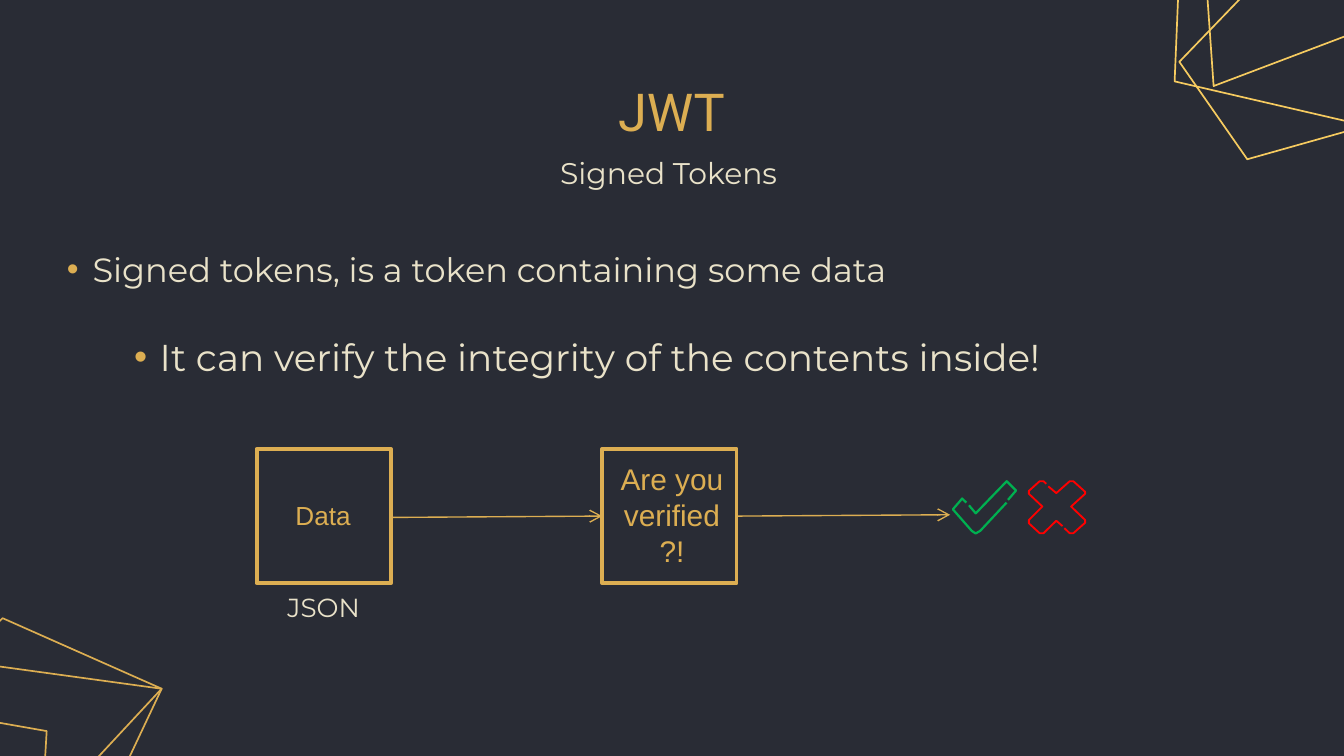
from dataclasses import dataclass, field
from typing import Any

import pptx
from lxml import etree
from pptx.dml.color import RGBColor
from pptx import util as u
from pptx.enum import shapes, text
from pptx.oxml import ns

BACKGROUND = RGBColor(0x29, 0x2C, 0x35)
GOLD = RGBColor(0xDC, 0xAE, 0x52)
BRIGHT_GOLD = RGBColor(0xF6, 0xCB, 0x60)
CREAM = RGBColor(0xE9, 0xE2, 0xC9)
GREEN = RGBColor(0x00, 0xB0, 0x50)
RED = RGBColor(0xFF, 0x00, 0x00)

Point = tuple[float, float]


@dataclass(frozen=True)
class Line:
    content: str
    size: float
    font: str = "Montserrat"
    color: RGBColor = CREAM
    format: dict[str, Any] = field(default_factory=dict)
    bullet_indent: float | None = None


@dataclass(frozen=True)
class Label:
    left: float
    top: float
    width: float
    height: float
    lines: tuple[Line, ...]
    frame: dict[str, Any] = field(default_factory=dict)


@dataclass(frozen=True)
class Outline:
    points: tuple[Point, ...]
    color: RGBColor
    weight: float = 0.9
    close: bool = True


@dataclass(frozen=True)
class Arrow:
    start: Point
    end: Point


CENTERED = {"alignment": text.PP_ALIGN.CENTER}
DOUBLE_SPACED = {"line_spacing": 2.0}
EVEN_INSETS = {"margin_top": u.Pt(7.2), "margin_bottom": u.Pt(7.2)}
BULLET_HANG = 13.7
BOX_SIDE = 72
BOX_TOP = 240.5
BOX_LEFTS = (137.5, 322.6)

OUTLINES = (
    Outline(((650.2, 46.1), (638.6, -119.5), (843.1, -91.4), (806.4, -13)), BRIGHT_GOLD),
    Outline(((629.3, 43.6), (632.9, -43.2), (754.6, -86.4), (820.8, -76.3),
             (818.6, -34.6), (750.2, 71.6)), BRIGHT_GOLD),
    Outline(((668.2, 85.3), (631.8, 33.1), (756.7, -96.5), (856.1, -55.4),
             (752.4, 61.6)), BRIGHT_GOLD),
    Outline(((-142.9, 491.8), (-137.9, 416.5), (-32.4, 381.6), (25, 391.7),
             (22.9, 428.4), (-39.4, 518.8)), GOLD),
    Outline(((-79.2, 487.4), (-109.4, 441.4), (1.4, 331.2), (86.6, 369),
             (-5.8, 468.4)), GOLD),
    Outline(((-79.2, 487.4), (-88.9, 344.9), (86.6, 369), (54.7, 436.7)), GOLD),
    Outline(((517.7, 269.3), (515.5, 267.1), (510.5, 272.9), (520.6, 284.4),
             (522.7, 285.8), (525.2, 284.4), (539.3, 269.3)), GREEN, 1.2, False),
    Outline(((519.1, 270.7), (522.7, 275), (539.3, 257.8), (544.3, 262.8),
             (540, 267.8)), GREEN, 1.2, False),
    Outline(((561.6, 260.6), (565.9, 264.2), (573.1, 257.8), (575, 257.8),
             (581.3, 263.5), (581.3, 264.6), (573.8, 271.4), (581.3, 278.6),
             (581.3, 280.1), (575, 285.7), (573.1, 285.7), (570.2, 283)), RED, 1, False),
    Outline(((569.2, 281.9), (565.9, 279), (559, 285.7), (557, 285.7),
             (551.2, 280.4), (551.2, 278.6), (558.4, 271.4), (551.2, 264.6),
             (551.2, 263), (557, 257.8), (559, 257.8), (560.5, 259.2)), RED, 1, False),
)

LABELS = (
    Label(28.8, 104.4, 663, 278, (
        Line("Signed tokens, is a token containing some data", 18,
             format=DOUBLE_SPACED, bullet_indent=13.7),
        Line("It can verify the integrity of the contents inside!", 20,
             format=DOUBLE_SPACED, bullet_indent=49.7),
    ), EVEN_INSETS),
    Label(157, 42.5, 405.4, 33.8, (Line("JWT", 28, "Roboto", GOLD, CENTERED),),
          EVEN_INSETS | {"vertical_anchor": text.MSO_ANCHOR.MIDDLE}),
    Label(293, 79.2, 134, 26.6, (Line("Signed Tokens", 16),), {"word_wrap": False}),
    Label(151.2, 264.2, 44.6, 24.5, (Line("Data", 14, "Arial", GOLD),)),
    Label(146.9, 313.2, 54, 24.5, (Line("JSON", 14),), {"word_wrap": False}),
    Label(324, 243.4, 72, 65.5, (Line("Are you verified?!", 16, "Arial", GOLD, CENTERED),)),
)

ARROWS = (
    Arrow((209.5, 277.2), (322.6, 276.5)),
    Arrow((394.6, 276.5), (509, 275.8)),
)


def apply_format(target: Any, values: dict[str, Any]) -> None:
    for name, value in values.items():
        setattr(target, name, value)


def draw_outline(slide: Any, outline: Outline) -> None:
    points = [(u.Pt(x), u.Pt(y)) for x, y in outline.points]
    builder = slide.shapes.build_freeform(*points[0])
    builder.add_line_segments(points[1:], close=outline.close)
    shape = builder.convert_to_shape()
    shape.shadow.inherit = False
    shape.fill.background()
    shape.line.color.rgb = outline.color
    shape.line.width = u.Pt(outline.weight)


def draw_box(slide: Any, left: float) -> None:
    shape = slide.shapes.add_shape(
        shapes.MSO_SHAPE.RECTANGLE, u.Pt(left), u.Pt(BOX_TOP), u.Pt(BOX_SIDE), u.Pt(BOX_SIDE))
    shape.shadow.inherit = False
    shape.fill.solid()
    shape.fill.fore_color.rgb = BACKGROUND
    shape.line.color.rgb = GOLD
    shape.line.width = u.Pt(2)


def add_bullet(paragraph: Any, indent: float) -> None:
    properties = paragraph._p.get_or_add_pPr()
    properties.set("marL", str(u.Pt(indent)))
    properties.set("indent", str(-u.Pt(BULLET_HANG)))
    color = etree.SubElement(properties, ns.qn("a:buClr"))
    etree.SubElement(color, ns.qn("a:srgbClr"), val=str(GOLD))
    etree.SubElement(properties, ns.qn("a:buFont"), typeface="Arial")
    etree.SubElement(properties, ns.qn("a:buChar"), char="•")


def draw_label(slide: Any, label: Label) -> None:
    shape = slide.shapes.add_textbox(
        u.Pt(label.left), u.Pt(label.top), u.Pt(label.width), u.Pt(label.height))
    frame = shape.text_frame
    apply_format(frame, {"word_wrap": True} | label.frame)
    for index, line in enumerate(label.lines):
        paragraph = frame.add_paragraph() if index else frame.paragraphs[0]
        apply_format(paragraph, line.format)
        if line.bullet_indent is not None:
            add_bullet(paragraph, line.bullet_indent)
        run = paragraph.add_run()
        run.text = line.content
        apply_format(run.font, {"name": line.font, "size": u.Pt(line.size)})
        run.font.color.rgb = line.color


def draw_arrow(slide: Any, arrow: Arrow) -> None:
    ends = [u.Pt(value) for value in (*arrow.start, *arrow.end)]
    connector = slide.shapes.add_connector(shapes.MSO_CONNECTOR.STRAIGHT, *ends)
    connector.line.color.rgb = GOLD
    connector.line.width = u.Pt(0.75)
    etree.SubElement(connector.line._get_or_add_ln(), ns.qn("a:tailEnd"), type="arrow")
    etree.SubElement(connector._element.spPr, ns.qn("a:effectLst"))


def main() -> None:
    presentation = pptx.Presentation()
    apply_format(presentation, {"slide_width": u.Pt(720), "slide_height": u.Pt(405)})
    slide = presentation.slides.add_slide(presentation.slide_layouts[6])
    slide.background.fill.solid()
    slide.background.fill.fore_color.rgb = BACKGROUND
    for outline in OUTLINES:
        draw_outline(slide, outline)
    for left in BOX_LEFTS:
        draw_box(slide, left)
    for label in LABELS:
        draw_label(slide, label)
    for arrow in ARROWS:
        draw_arrow(slide, arrow)
    presentation.save("out.pptx")


if __name__ == "__main__":
    main()
